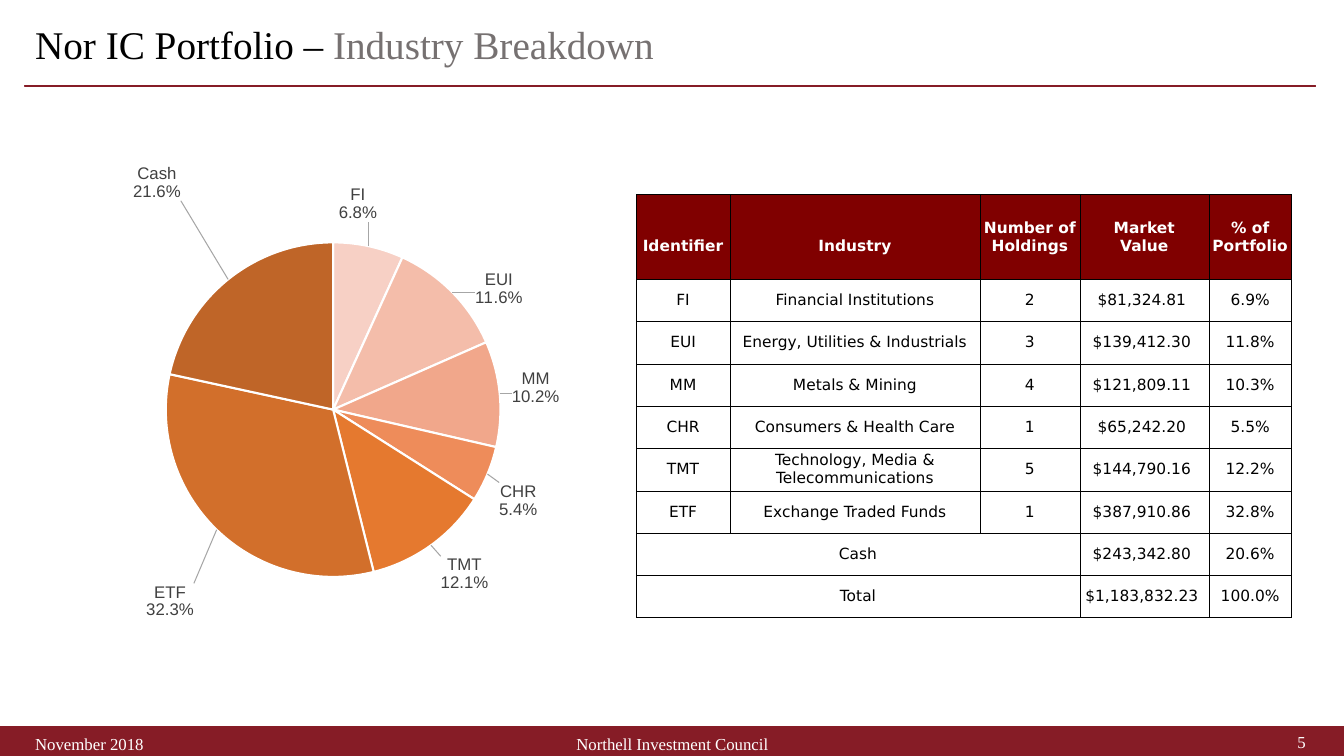
"""Build the portfolio industry breakdown slide: pie chart, holdings table and footer."""
from copy import deepcopy
from lxml.etree import SubElement
from pptx import Presentation
from pptx.chart.data import CategoryChartData
from pptx.dml.color import RGBColor
from pptx.enum.chart import XL_CHART_TYPE as ChartType, XL_LABEL_POSITION as LabelPosition
from pptx.enum.shapes import MSO_SHAPE as Preset
from pptx.enum.text import MSO_ANCHOR as Anchor, PP_ALIGN as Align
from pptx.oxml import parse_xml
from pptx.oxml.ns import nsdecls, qn
from pptx.util import Inches, Pt

BLACK = RGBColor(0x00, 0x00, 0x00)
WHITE = RGBColor(0xFF, 0xFF, 0xFF)
GRAY = RGBColor(0x76, 0x71, 0x71)
LABEL_GRAY = RGBColor(0x40, 0x40, 0x40)
MAROON = RGBColor(0x86, 0x1C, 0x26)
HEADER_RED = RGBColor(0x80, 0x00, 0x00)
SERIF = "Times New Roman"


def style_font(font, name, size, color, bold=False):
    font.name, font.size, font.bold = name, Pt(size), bold
    font.color.rgb = color


def add_text(slide, left, top, width, height, parts, size, align):
    box = slide.shapes.add_textbox(Inches(left), Inches(top), Inches(width), Inches(height))
    frame = box.text_frame
    frame.word_wrap = True
    frame.vertical_anchor = Anchor.MIDDLE
    frame.margin_top = frame.margin_bottom = 0
    para = frame.paragraphs[0]
    para.alignment = align
    for text, color in parts:
        span = para.add_run()
        span.text = text
        style_font(span.font, SERIF, size, color)


deck = Presentation()
deck.slide_width, deck.slide_height = Inches(13.33), Inches(7.5)
page = deck.slides.add_slide(deck.slide_layouts[6])

for left, top, width, height in [(0, 7.21, 13.33, 0.29), (0.25, 0.85, 12.8, 0.01)]:
    band = page.shapes.add_shape(Preset.RECTANGLE, Inches(left), Inches(top), Inches(width), Inches(height))
    band.shadow.inherit = False
    band.fill.solid()
    band.fill.fore_color.rgb = MAROON
    band.line.color.rgb = MAROON
    band.line.width = Pt(1)

title_parts = [("Nor IC Portfolio – ", BLACK), ("Industry Breakdown", GRAY)]
add_text(page, 0.25, 0.19, 12.8, 0.48, title_parts, 28, Align.LEFT)
add_text(page, 0.25, 7.28, 3, 0.2, [("November 2018", WHITE)], 12, Align.LEFT)
add_text(page, 4.42, 7.28, 4.5, 0.2, [("Northell Investment Council", WHITE)], 12, Align.CENTER)
add_text(page, 10.05, 7.26, 3, 0.2, [("5", WHITE)], 12, Align.RIGHT)

SLICES = [
    ("FI", 0.068, "F7D0C5", -0.05, -0.03),
    ("EUI", 0.116, "F4BDAA", 0.03, 0.03),
    ("MM", 0.102, "F1A78B", 0.01, 0.02),
    ("CHR", 0.054, "EE8C5A", 0.01, 0.01),
    ("TMT", 0.121, "E5792F", 0.01, 0.01),
    ("ETF", 0.323, "D26F2B", -0.03, 0.08),
    ("Cash", 0.216, "BF6528", -0.07, -0.12),
]
chart_data = CategoryChartData()
chart_data.categories = [entry[0] for entry in SLICES]
chart_data.add_series("Series 1", [entry[1] for entry in SLICES])
chart = page.shapes.add_chart(
    ChartType.PIE, Inches(0.25), Inches(0.91), Inches(6.17), Inches(6.12), chart_data).chart
chart.has_title = chart.has_legend = False
style_font(chart.font, "Arial", 10, BLACK)
plot = chart.plots[0]
plot.vary_by_categories = True

plot_area = chart.element.find(".//" + qn("c:plotArea"))
for old_layout in plot_area.findall(qn("c:layout")):
    plot_area.remove(old_layout)
plot_area.insert(0, parse_xml(
    f'<c:layout {nsdecls("c")}><c:manualLayout><c:layoutTarget val="inner"/>'
    '<c:xMode val="edge"/><c:yMode val="edge"/><c:x val="0.226"/><c:y val="0.141"/>'
    '<c:w val="0.538"/><c:h val="0.749"/></c:manualLayout></c:layout>'))

series = plot.series[0]
labels = series.data_labels
labels.number_format = r"0.0%;\(0.0%\)"
labels.number_format_is_linked = False
labels.position = LabelPosition.OUTSIDE_END
labels.show_value = labels.show_category_name = True
style_font(labels.font, "Arial", 12, LABEL_GRAY)
group = series.data_labels._element
separator = parse_xml(f'<c:separator {nsdecls("c")}>\n</c:separator>')
leader_switch = group.find(qn("c:showLeaderLines"))
if leader_switch is None:
    leader_switch = SubElement(group, qn("c:showLeaderLines"))
leader_switch.set("val", "1")
leader_switch.addprevious(deepcopy(separator))
leader_switch.addnext(parse_xml(
    f'<c:leaderLines {nsdecls("c", "a")}><c:spPr><a:ln w="9525"><a:solidFill>'
    '<a:srgbClr val="A6A6A6"/></a:solidFill></a:ln></c:spPr></c:leaderLines>'))

for index, (name, value, color, shift_x, shift_y) in enumerate(SLICES):
    point = series.points[index]
    point.format.fill.solid()
    point.format.fill.fore_color.rgb = RGBColor.from_string(color)
    point.format.line.color.rgb = WHITE
    point.format.line.width = Pt(1.5)
    point.data_label.position = LabelPosition.OUTSIDE_END
    style_font(point.data_label.font, "Arial", 12, LABEL_GRAY)
    label = group.findall(qn("c:dLbl"))[index]
    label.find(qn("c:showCatName")).set("val", "1")
    label.insert(1, parse_xml(
        f'<c:layout {nsdecls("c")}><c:manualLayout><c:x val="{shift_x}"/>'
        f'<c:y val="{shift_y}"/></c:manualLayout></c:layout>'))
    label.insert(2, deepcopy(group.find(qn("c:numFmt"))))
    label.append(deepcopy(separator))

ROWS = [
    ("Identifier", "Industry", "Number of\nHoldings", "Market\nValue", "% of\nPortfolio"),
    ("FI", "Financial Institutions", "2", "$81,324.81 ", "6.9%"),
    ("EUI", "Energy, Utilities & Industrials", "3", "$139,412.30 ", "11.8%"),
    ("MM", "Metals & Mining", "4", "$121,809.11 ", "10.3%"),
    ("CHR", "Consumers & Health Care", "1", "$65,242.20 ", "5.5%"),
    ("TMT", "Technology, Media & Telecommunications", "5", "$144,790.16 ", "12.2%"),
    ("ETF", "Exchange Traded Funds", "1", "$387,910.86 ", "32.8%"),
    ("Cash", "", "", "$243,342.80 ", "20.6%"),
    ("Total", "", "", "$1,183,832.23 ", "100.0%"),
]
table = page.shapes.add_table(
    len(ROWS), 5, Inches(6.31), Inches(1.93), Inches(6.5), Inches(4.2)).table
table.first_row = table.horz_banding = False
for column, width in zip(table.columns, [0.93, 2.48, 0.99, 1.28, 0.82]):
    column.width = Inches(width)

for row_index, texts in enumerate(ROWS):
    is_header = row_index == 0
    table.rows[row_index].height = Inches(0.84 if is_header else 0.42)
    for column_index, text in enumerate(texts):
        cell = table.cell(row_index, column_index)
        cell.margin_left = cell.margin_right = cell.margin_top = cell.margin_bottom = 0
        cell.vertical_anchor = Anchor.MIDDLE
        if is_header:
            cell.fill.solid()
            cell.fill.fore_color.rgb = HEADER_RED
            if "\n" not in text:
                cell.margin_top = Inches(0.18)
        else:
            cell.fill.background()
        cell.text_frame.text = text
        for para in cell.text_frame.paragraphs:
            para.alignment = Align.CENTER
            style_font(para.font, "DejaVu Sans", 11, WHITE if is_header else BLACK, is_header)
            for span in para.runs:
                style_font(span.font, "DejaVu Sans", 11, WHITE if is_header else BLACK, is_header)
        for position, side in enumerate(["lnL", "lnR", "lnT", "lnB"]):
            cell._tc.get_or_add_tcPr().insert(position, parse_xml(
                f'<a:{side} {nsdecls("a")} w="3175"><a:solidFill><a:srgbClr val="{BLACK}"/>'
                f'</a:solidFill></a:{side}>'))
    if not texts[1]:
        table.cell(row_index, 0).merge(table.cell(row_index, 2))

deck.save("out.pptx")
